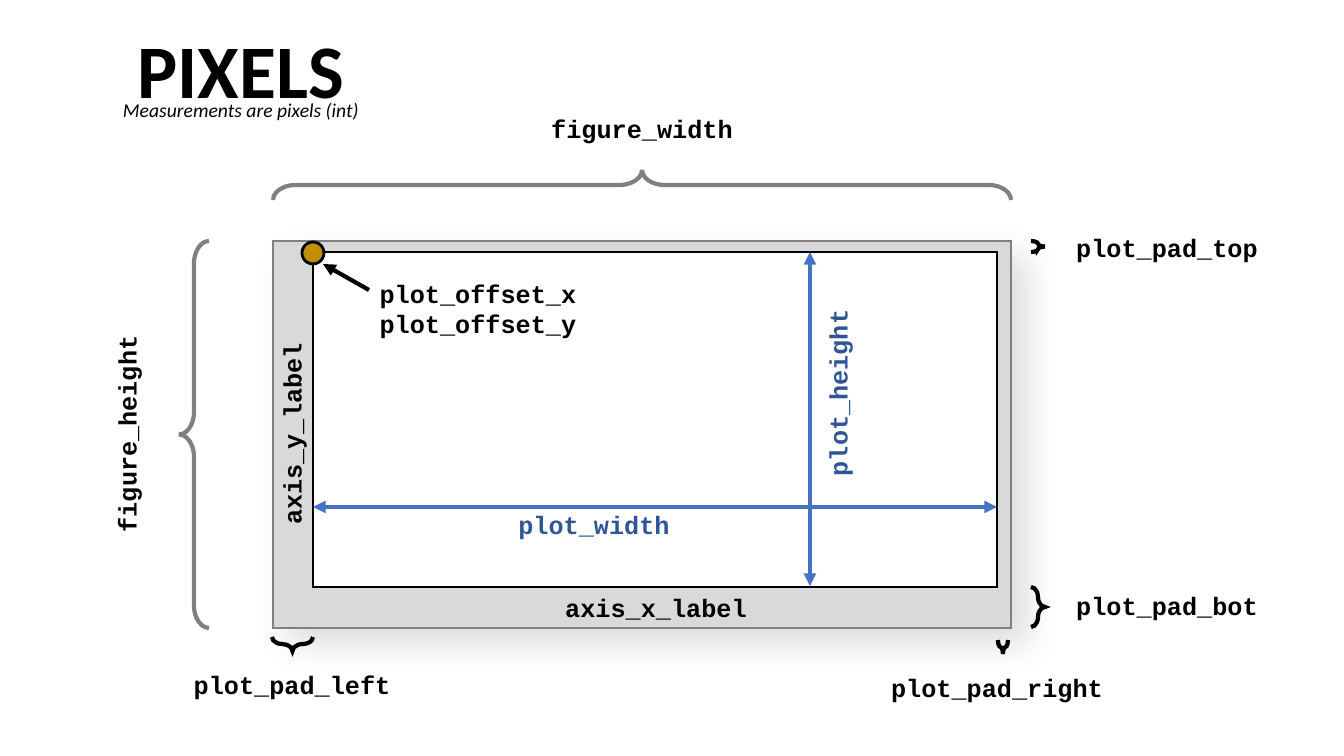
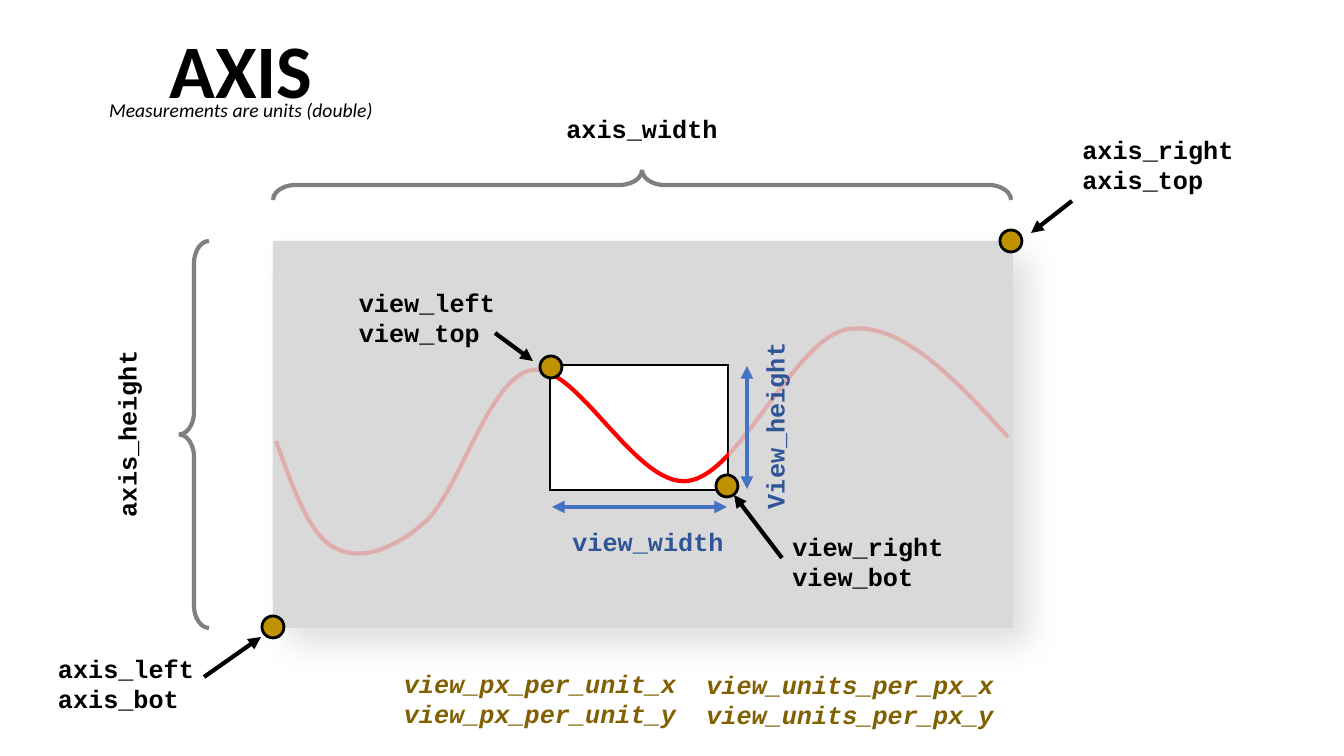
import pptx
import pptx.util
import pptx.dml.color
import pptx.enum.shapes
import pptx.enum.text
import pptx.oxml
import pptx.oxml.ns

RGB = pptx.dml.color.RGBColor
KIND = pptx.enum.shapes.MSO_SHAPE
ALIGN = pptx.enum.text.PP_ALIGN
BLACK = RGB(0x00, 0x00, 0x00)
WHITE = RGB(0xFF, 0xFF, 0xFF)
GREY = RGB(0x80, 0x80, 0x80)
PALE = RGB(0xD9, 0xD9, 0xD9)
BLUE = RGB(0x44, 0x72, 0xC4)
NAVY = RGB(0x2F, 0x55, 0x97)
GOLD = RGB(0xBF, 0x90, 0x00)
OLIVE = RGB(0x80, 0x60, 0x00)
RED = RGB(0xFF, 0x00, 0x00)

SCALE = 914400 / 100.8
TITLE = {"name": "Calibri", "size": pptx.util.Pt(54), "bold": True}
NOTE = {"name": "Calibri", "size": pptx.util.Pt(14), "italic": True}
CODE = {"name": "Courier New", "size": pptx.util.Pt(18), "bold": True}
FRAME = {"word_wrap": False,
         "auto_size": pptx.enum.text.MSO_AUTO_SIZE.SHAPE_TO_FIT_TEXT}
MID = 241
CURVE = [
    (276, 441), (293, 488), (309, 535), (335, 548), (359, 561), (392, 551),
    (425, 522), (459, 492), (489, 377), (532, 370), (577, 363), (636, 488),
    (688, 481), (741, 474), (795, 336), (849, 329), (902, 322), (955, 379),
    (1008, 437)]


def emu(*nums):
    return [round(num * SCALE) for num in nums]


def style(item, values):
    for key, value in values.items():
        setattr(item, key, value)


def add_xml(parent, name, inner="", **attrs):
    text = " ".join(f'{key}="{value}"' for key, value in attrs.items())
    space = pptx.oxml.ns.nsdecls("a")
    node = pptx.oxml.parse_xml(f"<a:{name} {space} {text}>{inner}</a:{name}>")
    parent.append(node)
    return node


def stroke(item, color, width):
    item.line.color.rgb = color
    item.line.width = pptx.util.Pt(width)
    add_xml(item.line._get_or_add_ln(), "miter", lim=800000)


def shape(slide, kind, box, fill=None, line=None, width=1):
    item = slide.shapes.add_shape(kind, *emu(*box))
    item.shadow.inherit = False
    if fill is None:
        item.fill.background()
    else:
        item.fill.solid()
        item.fill.fore_color.rgb = fill
    if line is None:
        item.line.fill.background()
    else:
        stroke(item, line, width)
    return item


def panel(slide, box, line=None):
    item = shape(slide, KIND.RECTANGLE, box, PALE, line)
    effects = item._element.spPr.find(pptx.oxml.ns.qn("a:effectLst"))
    inner = '<a:srgbClr val="000000"><a:alpha val="12000"/></a:srgbClr>'
    add_xml(effects, "outerShdw", inner, blurRad=304800, dist=203200,
            dir=2700000, algn="tl", rotWithShape=0)


def veil(slide, box):
    item = shape(slide, KIND.RECTANGLE, box, PALE)
    tint = item._element.spPr.find(".//" + pptx.oxml.ns.qn("a:srgbClr"))
    add_xml(tint, "alpha", val=80000)


def dot(slide, x, y):
    shape(slide, KIND.OVAL, (x - 11, y - 11, 22, 22), GOLD, BLACK, 2)


def brace(slide, x, y, wide, high, turn=0, color=BLACK):
    across, along = (high, wide) if turn % 180 else (wide, high)
    box = (x + (wide - across) / 2, y + (high - along) / 2, across, along)
    item = shape(slide, KIND.LEFT_BRACE, box, None, color, 3)
    item.rotation = turn
    item.adjustments[0] = 0.75
    item.adjustments[1] = 0.5


def arrow(slide, start, end, color=BLACK, both=False):
    kind = pptx.enum.shapes.MSO_CONNECTOR.STRAIGHT
    item = slide.shapes.add_connector(kind, *emu(*start, *end))
    stroke(item, color, 3)
    line = item.line._get_or_add_ln()
    add_xml(line, "headEnd", type="triangle")
    if both:
        add_xml(line, "tailEnd", type="triangle")
    add_xml(item._element.spPr, "effectLst")


def text(slide, x, y, wide, high, lines, font, color=BLACK, turn=0):
    item = slide.shapes.add_textbox(
        *emu(x - wide / 2, y - high / 2, wide, high))
    item.rotation = turn
    frame = item.text_frame
    style(frame, FRAME)
    frame.text = "\n".join(lines)
    for para in frame.paragraphs:
        para.alignment = ALIGN.CENTER if len(lines) == 1 else ALIGN.LEFT
        for run in para.runs:
            style(run.font, font)
            run.font.color.rgb = color


def code(slide, x, y, *lines, color=BLACK, turn=0, slant=False):
    wide = 20 + 15.12 * max(len(line) for line in lines)
    high = 10 + 31 * len(lines)
    text(slide, x, y, wide, high, lines, {**CODE, "italic": slant},
         color, turn)


def heading(slide, title, wide, note, span):
    text(slide, MID, 69, wide, 102, [title], TITLE)
    text(slide, MID, 110, span, 34, [note], NOTE)


def extent(slide, across, down):
    brace(slide, 179, 241, 30, 387, color=GREY)
    brace(slide, 273, 170, 738, 30, 90, GREY)
    code(slide, 642, 129, across)
    code(slide, 127, 434, down, turn=270)


def wave(slide):
    maker = slide.shapes.build_freeform(*CURVE[0], scale=SCALE)
    maker.add_line_segments(CURVE[1:], close=False)
    item = maker.convert_to_shape()
    item.shadow.inherit = False
    item.fill.background()
    stroke(item, RED, 3)
    tag = pptx.oxml.ns.qn("a:lnTo")
    steps = list(item._element.iter(tag))
    route = steps[0].getparent()
    for first in range(0, len(steps), 3):
        bend = add_xml(route, "cubicBezTo")
        for step in steps[first:first + 3]:
            bend.append(step[0])
            route.remove(step)


def pixels(slide):
    panel(slide, (273, 241, 738, 387), GREY)
    shape(slide, KIND.RECTANGLE, (313, 252, 684, 335), WHITE, BLACK)
    extent(slide, "figure_width", "figure_height")
    heading(slide, "PIXELS", 229, "Measurements are pixels (int)", 258)
    for box in ((272, 637, 41, 14, 270), (998, 640, 10, 14, 270),
                (1031, 587, 14, 40, 180), (1031, 241, 14, 11, 180)):
        brace(slide, *box)
    for label in ((656, 608, "axis_x_label"), (292, 685, "plot_pad_left"),
                  (997, 688, "plot_pad_right"), (1167, 606, "plot_pad_bot"),
                  (1167, 248, "plot_pad_top"),
                  (478, 309, "plot_offset_x", "plot_offset_y")):
        code(slide, *label)
    code(slide, 292, 434, "axis_y_label", turn=270)
    arrow(slide, (997, 507), (313, 507), BLUE, True)
    arrow(slide, (810, 586), (810, 252), BLUE, True)
    code(slide, 594, 525, "plot_width", color=NAVY)
    code(slide, 838, 393, "plot_height", color=NAVY, turn=270)
    dot(slide, 313, 253)
    arrow(slide, (323, 264), (369, 290))


def axis(slide):
    panel(slide, (273, 241, 740, 387))
    shape(slide, KIND.RECTANGLE, (550, 365, 178, 125), WHITE, BLACK)
    wave(slide)
    veil(slide, (273, 260, 276, 345))
    veil(slide, (729, 263, 282, 345))
    heading(slide, "AXIS", 165, "Measurements are units (double)", 286)
    extent(slide, "axis_width", "axis_height")
    code(slide, 648, 542, "view_width", color=NAVY)
    arrow(slide, (727, 507), (552, 507), BLUE, True)
    arrow(slide, (747, 489), (747, 366), BLUE, True)
    code(slide, 775, 426, "View_height", color=NAVY, turn=270)
    corners = (
        ((273, 627), (261, 637), (204, 677),
         (126, 684, "axis_left", "axis_bot")),
        ((1011, 241), (1031, 233), (1072, 201),
         (1158, 165, "axis_right", "axis_top")),
        ((551, 367), (533, 361), (495, 333),
         (427, 318, "view_left", "view_top")),
        ((727, 486), (734, 495), (782, 558),
         (868, 562, "view_right", "view_bot")))
    for spot, tip, tail, label in corners:
        dot(slide, *spot)
        arrow(slide, tip, tail)
        code(slide, *label)
    for x, y, stem in ((540, 699, "view_px_per_unit_"),
                       (850, 700, "view_units_per_px_")):
        code(slide, x, y, stem + "x", stem + "y", color=OLIVE, slant=True)


def main():
    deck = pptx.Presentation()
    deck.slide_width, deck.slide_height = emu(1344, 756)
    for draw in (pixels, axis):
        draw(deck.slides.add_slide(deck.slide_layouts[6]))
    deck.save("out.pptx")


main()
